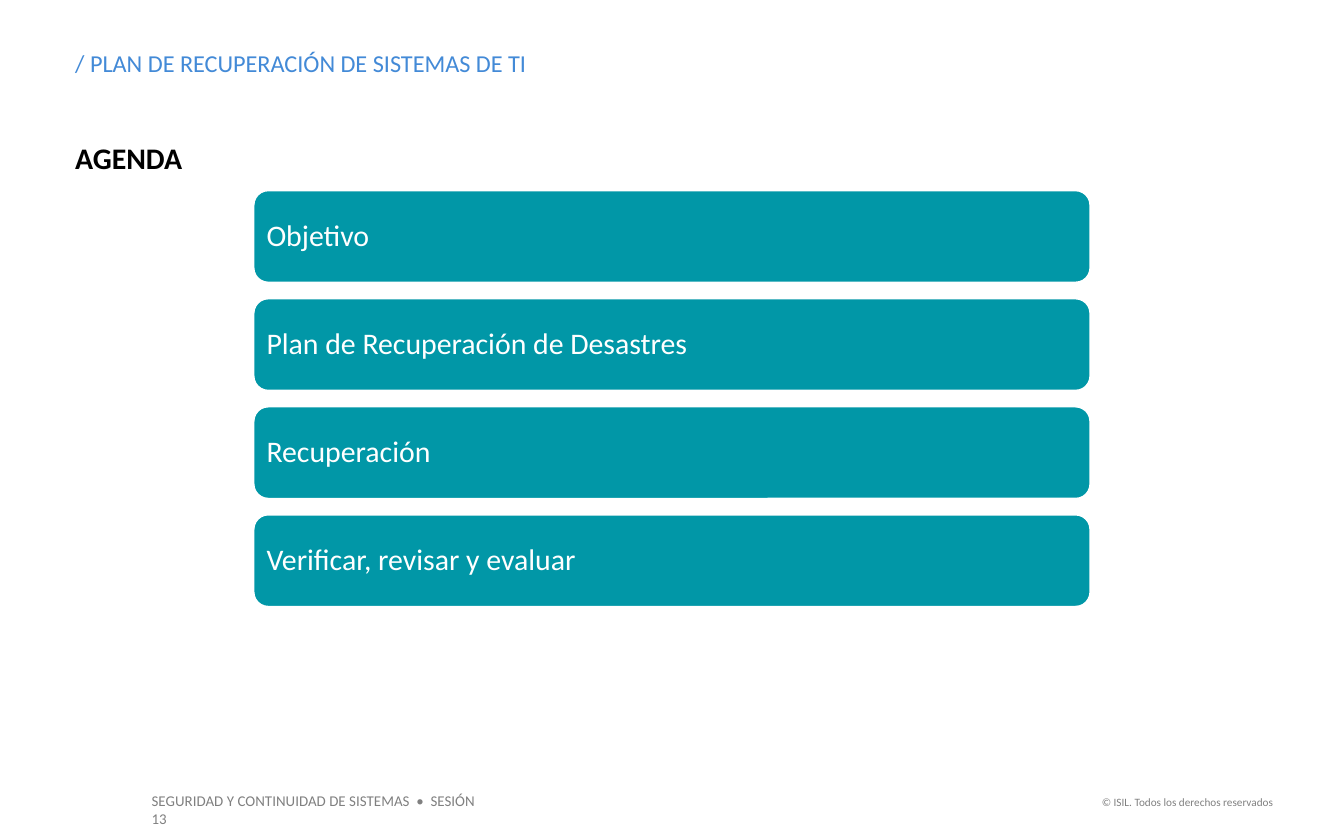
from pptx import Presentation
from pptx.dml.color import RGBColor
from pptx.enum import shapes, text
from pptx.util import Inches, Pt

HUES = {"blue": "438AD7", "teal": "0197A7", "gray": "808080",
        "black": "000000", "white": "FFFFFF"}
LEFT, RIGHT = text.PP_ALIGN.LEFT, text.PP_ALIGN.RIGHT
TOP, MID = text.MSO_ANCHOR.TOP, text.MSO_ANCHOR.MIDDLE


def hue(name):
    return RGBColor.from_string(HUES[name])


def write(shape, words, size, color, inset=0, align=LEFT, anchor=TOP, bold=False):
    """Fill a shape with one styled paragraph; inset is (side, top) or one value."""
    side, top = inset if isinstance(inset, tuple) else (inset, inset)
    frame = shape.text_frame
    frame.text = words
    form = {"word_wrap": True, "auto_size": text.MSO_AUTO_SIZE.NONE,
            "vertical_anchor": anchor,
            "margin_left": Inches(side), "margin_right": Inches(side),
            "margin_top": Inches(top), "margin_bottom": Inches(top)}
    for key, val in form.items():
        setattr(frame, key, val)
    para = frame.paragraphs[0]
    para.alignment = align
    font = para.runs[0].font
    for key, val in {"name": "Calibri", "size": Pt(size), "bold": bold}.items():
        setattr(font, key, val)
    font.color.rgb = hue(color)
    return para


deck = Presentation()
deck.slide_width, deck.slide_height = Inches(10), Inches(6.25)
slide = deck.slides.add_slide(deck.slide_layouts[5])

# Title
title = slide.shapes.title
place = {"left": 0.56, "top": 0.36, "width": 6.6, "height": 0.22}
for key, val in place.items():
    setattr(title, key, Inches(val))
write(title, "/ PLAN DE RECUPERACIÓN DE SISTEMAS DE TI", 13, "blue")

# Heading and footer
pad = (0.1, 0.05)
labels = [
    ((0.56, 1.04, 8.93, 0.27), "AGENDA", 16, "black", {"bold": True}),
    ((1.03, 5.84, 2.74, 0.24), "SEGURIDAD Y CONTINUIDAD DE SISTEMAS\u00a0 •\u00a0 SESIÓN 13".replace("\u00a0", " "),
     8, "gray", {"inset": pad}),
    ((8.07, 5.87, 1.5, 0.2), "© ISIL. Todos los derechos reservados",
     6, "gray", {"inset": pad, "align": RIGHT}),
]
for box, words, size, color, form in labels:
    label = slide.shapes.add_textbox(*map(Inches, box))
    write(label, words, size, color, **form)

# Agenda bars
topics = ["Objetivo", "Plan de Recuperación de Desastres",
          "Recuperación", "Verificar, revisar y evaluar"]
first, step = 1.41, 0.804
for i, topic in enumerate(topics):
    bar = slide.shapes.add_shape(
        shapes.MSO_SHAPE.ROUNDED_RECTANGLE, Inches(1.88),
        Inches(first + i * step), Inches(6.24), Inches(0.7))
    bar.shadow.inherit = False
    bar.fill.solid()
    bar.fill.fore_color.rgb = hue("teal")
    bar.line.color.rgb = hue("white")
    bar.line.width = Pt(2)
    para = write(bar, topic, 16, "white", inset=0.07, anchor=MID)
    para.line_spacing = 0.9

deck.save("out.pptx")
